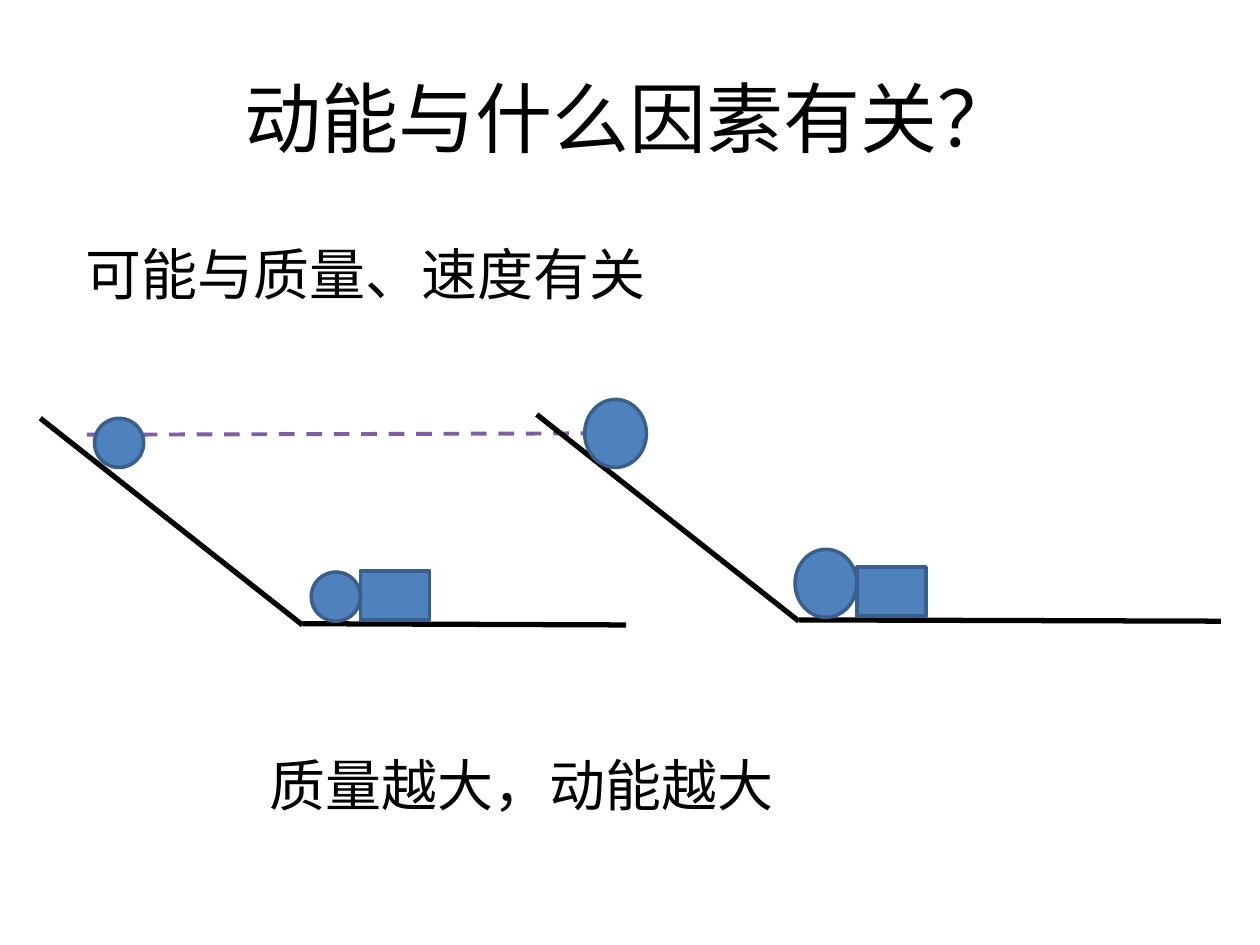
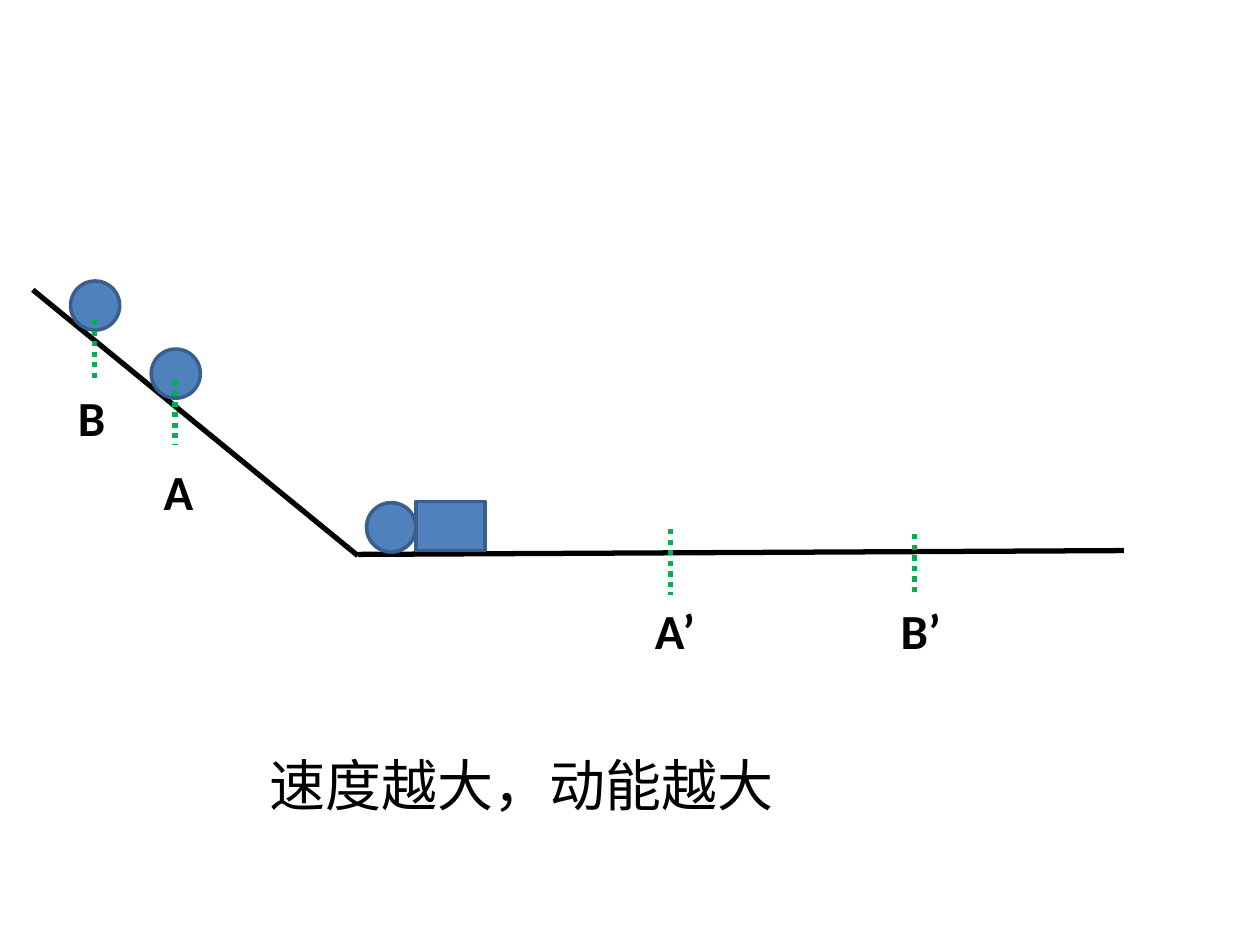
from dataclasses import dataclass

from lxml import etree
from pptx import Presentation
from pptx import util as u
from pptx.dml.color import RGBColor
from pptx.enum import dml, shapes, text
from pptx.oxml import ns

PX = 9144  # EMU per px, 100 px to the inch


@dataclass(frozen=True)
class Theme:
    ink: str = "000000"
    body_fill: str = "4F81BD"
    body_edge: str = "3A5F8C"
    level: str = "7D60A0"
    mark: str = "00B050"
    cjk: str = "Noto Sans CJK SC"
    latin: str = "Calibri"
    title: int = 44
    body: int = 32
    label: int = 28
    track_width: float = 3
    edge_width: float = 2
    level_width: float = 2.25


@dataclass(frozen=True)
class Box:
    left: int
    top: int
    width: int = 0
    height: int = 0

    def at(self, left, top, width=0, height=0):
        """A box placed relative to this one."""
        return Box(self.left + left, self.top + top, width, height)

    def emu(self):
        return [side * PX for side in (self.left, self.top, self.width, self.height)]


THEME = Theme()
SLIDE = Box(0, 0, 1000, 750)
BLOCK_WIDTH, BLOCK_HEIGHT = 55, 39
BLOCK_GAP = 46  # foot of the slope to the block
SMALL_BALL, LARGE_BALL = (39, 39), (49, 54)


# Basic parts
def add_text(page, box, words, size, font=THEME.cjk, bold=False, wrap=False,
             align=text.PP_ALIGN.LEFT, anchor=text.MSO_ANCHOR.TOP):
    frame = page.shapes.add_textbox(*box.emu()).text_frame
    frame.text = words
    frame.word_wrap = wrap
    frame.auto_size = text.MSO_AUTO_SIZE.NONE if wrap else text.MSO_AUTO_SIZE.SHAPE_TO_FIT_TEXT
    frame.vertical_anchor = anchor
    para = frame.paragraphs[0]
    para.alignment = align
    span = para.runs[0]
    span.font.size = u.Pt(size)
    span.font.bold = bold
    span.font.name = font
    span.font.color.rgb = RGBColor.from_string(THEME.ink)
    east_asian = etree.SubElement(span.font._element, ns.qn("a:ea"))
    east_asian.set("typeface", font)


def add_line(page, box, start, end, color=THEME.ink, width=THEME.track_width, dash=None):
    ends = [box.at(*point).emu()[:2] for point in (start, end)]
    line = page.shapes.add_connector(shapes.MSO_CONNECTOR.STRAIGHT, *ends[0], *ends[1])
    line.line.color.rgb = RGBColor.from_string(color)
    line.line.width = u.Pt(width)
    if dash:
        line.line.dash_style = dash
    etree.SubElement(line._element.spPr, ns.qn("a:effectLst"))


def add_solid(page, kind, box):
    solid = page.shapes.add_shape(kind, *box.emu())
    solid.shadow.inherit = False
    solid.fill.solid()
    solid.fill.fore_color.rgb = RGBColor.from_string(THEME.body_fill)
    solid.line.color.rgb = RGBColor.from_string(THEME.body_edge)
    solid.line.width = u.Pt(THEME.edge_width)


def add_ball(page, box, left, top, size):
    add_solid(page, shapes.MSO_SHAPE.OVAL, box.at(left, top, *size))


# Slope, floor, block and the balls on them
def draw_track(page, box, run, floor_end, ball_size, starts):
    """box.height is the drop of the slope; starts are the release positions."""
    drop = box.height
    add_line(page, box, (0, 0), (run, drop))
    add_line(page, box, (run, drop - 1), floor_end)
    block_left = run + BLOCK_GAP
    add_solid(page, shapes.MSO_SHAPE.RECTANGLE,
              box.at(block_left, drop - 4 - BLOCK_HEIGHT, BLOCK_WIDTH, BLOCK_HEIGHT))
    for left, top in starts:
        add_ball(page, box, left, top, ball_size)
        # Each run ends with its ball touching the block
        add_ball(page, box, block_left - ball_size[0], drop - 3 - ball_size[1], ball_size)


# Dotted position mark with its letter
def draw_mark(page, box, name, x, top, bottom, label):
    add_line(page, box, (x, top), (x, bottom), THEME.mark,
             dash=dml.MSO_LINE.ROUND_DOT)
    add_text(page, box.at(*label), name, THEME.label, THEME.latin, bold=True)


def draw_conclusion(page, words):
    add_text(page, SLIDE.at(204, 591, 424, 64), words, THEME.body)


# Slide 1: balls of different mass from one height
def draw_mass_slide(page):
    add_text(page, SLIDE.at(50, 30, 900, 125), "动能与什么因素有关？", THEME.title, wrap=True,
             align=text.PP_ALIGN.CENTER, anchor=text.MSO_ANCHOR.MIDDLE)
    add_text(page, SLIDE.at(58, 185, 862, 476), "可能与质量、速度有关", THEME.body, wrap=True)
    add_line(page, SLIDE, (69, 345), (464, 344), THEME.level, THEME.level_width,
             dml.MSO_LINE.DASH)
    draw_track(page, SLIDE.at(32, 332, 465, 164), 208, (465, 164), SMALL_BALL, [(43, 0)])
    draw_track(page, SLIDE.at(426, 329, 543, 164), 208, (543, 164), LARGE_BALL, [(38, -12)])
    draw_conclusion(page, "质量越大，动能越大")


# Slide 2: one ball from two heights
def draw_speed_slide(page):
    track = SLIDE.at(26, 230, 866, 211)
    draw_track(page, track, 258, (866, 207), SMALL_BALL, [(94, 47), (30, -7)])
    marks = [
        ("A", 113, 72, 123, (94, 131, 44, 57)),
        ("B", 49, 24, 72, (26, 73, 42, 57)),
        ("A’", 506, 190, 242, (484, 242, 53, 57)),
        ("B’", 700, 194, 242, (679, 242, 52, 57)),
    ]
    for mark in marks:
        draw_mark(page, track, *mark)
    draw_conclusion(page, "速度越大，动能越大")


def main():
    deck = Presentation()
    deck.slide_width, deck.slide_height = SLIDE.emu()[2:]
    for draw in (draw_mass_slide, draw_speed_slide):
        draw(deck.slides.add_slide(deck.slide_layouts[6]))
    deck.save("out.pptx")


if __name__ == "__main__":
    main()
